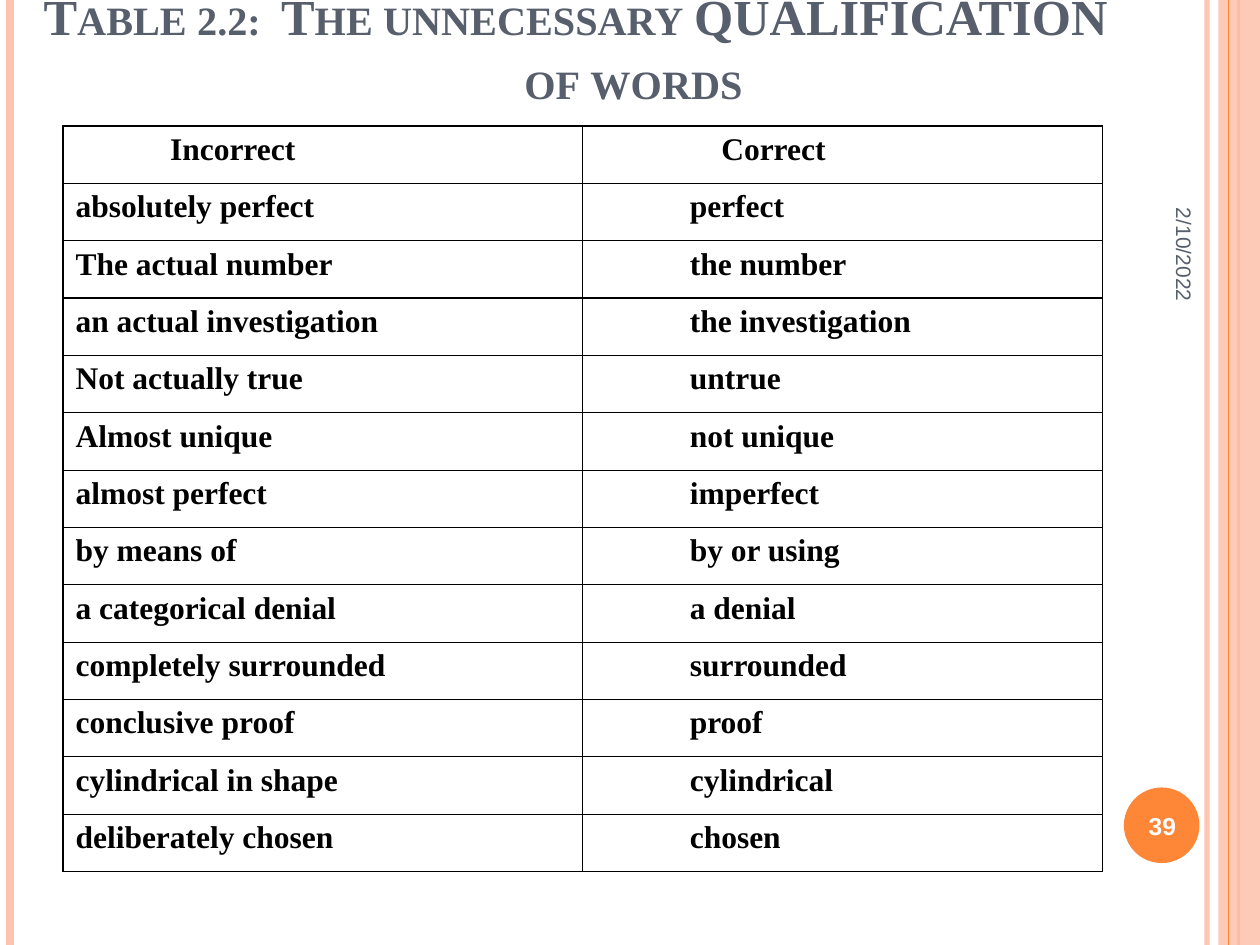
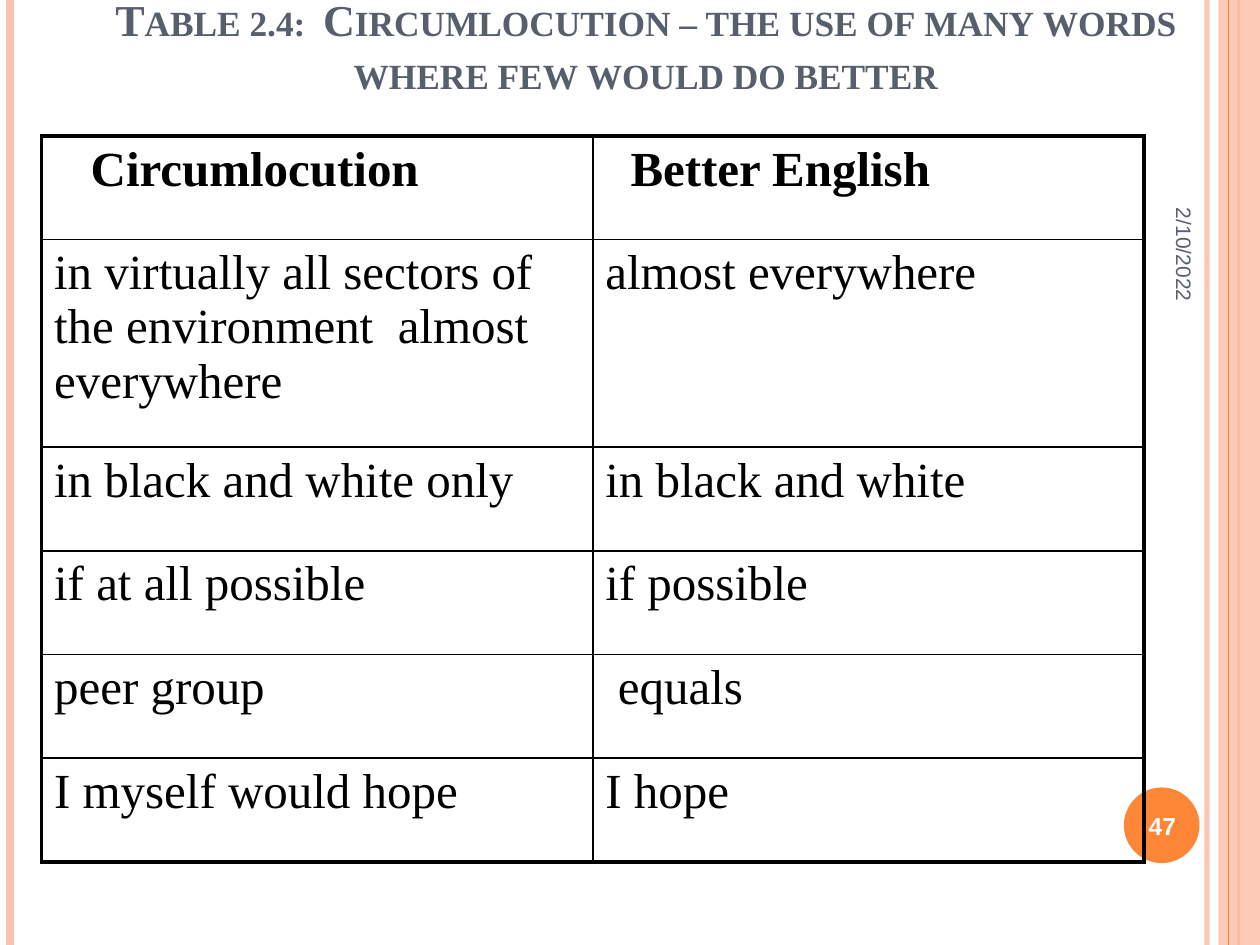
from lxml import etree
from pptx import Presentation
from pptx import util as u
from pptx.dml.color import RGBColor
from pptx.enum import shapes, text
from pptx.oxml.ns import qn

PEACH = RGBColor(0xFE, 0xC3, 0xAE)
ORANGE = RGBColor(0xFE, 0x86, 0x37)
SLATE = RGBColor(0x57, 0x5F, 0x6D)
BLACK = RGBColor(0, 0, 0)
WHITE = RGBColor(255, 255, 255)
SERIF, SANS = "Times New Roman", "Arial"
DATE = "2/10/2022"

PAGES = [
    {
        "number": "39",
        "title": ["Table 2.2:  The unnecessary QUALIFICATION", "of words"],
        "title_box": (0.17, 0.17, 9.33, 0.75),
        "title_size": 28.8,
        "title_right_margin": 0.63,
        "second_line": {"indent": 0.92, "space_before": 2},
        "table_box": (0.5, 1, 8.25, 5.92),
        "row_weights": [1] * 13,
        "text_size": 18,
        "bold_body": True,
        "header_indents": (0.75, 1),
        "body_indents": (0, 0.75),
        "special_indents": {},
        "lines": {"outer": 0.75, "top": 1, "header": 1, "inner": 0.75},
        "rows": [
            ("Incorrect", "Correct"),
            ("absolutely perfect", "perfect"),
            ("The actual number", "the number"),
            ("an actual investigation", "the investigation"),
            ("Not actually true", "untrue"),
            ("Almost unique", "not unique"),
            ("almost perfect", "imperfect"),
            ("by means of", "by or using"),
            ("a categorical denial", "a denial"),
            ("completely surrounded", "surrounded"),
            ("conclusive proof", "proof"),
            ("cylindrical in shape", "cylindrical"),
            ("deliberately chosen", "chosen"),
        ],
    },
    {
        "number": "47",
        "title": ["Table 2.4:  Circumlocution – the use of many words "
                  "where few would do better"],
        "title_box": (0.25, 0, 9.75, 0.83),
        "title_size": 25.2,
        "title_right_margin": 0.1,
        "second_line": {},
        "table_box": (0.33, 1.08, 8.75, 5.76),
        "row_weights": [1, 2, 1, 1, 1, 1],
        "text_size": 28,
        "bold_body": False,
        "header_indents": (0.29, 0.2),
        "body_indents": (0, 0),
        "special_indents": {"equals": 0.1},
        "lines": {"outer": 2.25, "top": 2.25, "header": 1, "inner": 1},
        "rows": [
            ("Circumlocution", "Better English"),
            ("in virtually all sectors of the environment  almost everywhere",
             "almost everywhere"),
            ("in black and white only", "in black and white"),
            ("if at all possible", "if possible"),
            ("peer group", "equals"),
            ("I myself would hope", "I hope"),
        ],
    },
]


def inches(values):
    return [u.Inches(value) for value in values]


def set_opacity(shape, percent):
    color = next(shape._element.spPr.iter(qn("a:srgbClr")))
    etree.SubElement(color, qn("a:alpha"), val=str(percent * 1000))


def style(paragraph, size, font, color, bold=False):
    paragraph.font.size = u.Pt(size)
    paragraph.font.name = font
    paragraph.font.color.rgb = color
    paragraph.font.bold = bold


def indent(paragraph, length):
    paragraph._p.get_or_add_pPr().set("marL", str(u.Inches(length)))


def add_rule(page, x, color, width):
    rule = page.shapes.add_connector(
        shapes.MSO_CONNECTOR.STRAIGHT, *inches((x, 0, x, 7.5)))
    rule.line.color.rgb = color
    rule.line.width = u.Pt(width)
    etree.SubElement(rule._element.spPr, qn("a:effectLst"))
    return rule


def add_block(page, kind, box, color):
    block = page.shapes.add_shape(kind, *inches(box))
    block.shadow.inherit = False
    block.fill.solid()
    block.fill.fore_color.rgb = color
    block.line.fill.background()
    return block


def add_frame(page):
    set_opacity(add_rule(page, 9.58, PEACH, 3), 93)
    add_rule(page, 0.08, PEACH, 4.5)
    add_rule(page, 9.83, ORANGE, 1.5)
    set_opacity(add_block(page, shapes.MSO_SHAPE.RECTANGLE,
                          (9.67, 0, 0.33, 7.5), PEACH), 87)
    add_rule(page, 9.75, ORANGE, 0.75)
    add_block(page, shapes.MSO_SHAPE.OVAL, (8.92, 6.25, 0.6, 0.6), ORANGE)


def add_text(page, box, lines, anchor, align, **look):
    shape = page.shapes.add_textbox(*inches(box))
    frame = shape.text_frame
    frame.word_wrap = True
    frame.vertical_anchor = anchor
    frame.text = "\n".join(lines)
    for paragraph in frame.paragraphs:
        paragraph.alignment = align
        style(paragraph, **look)
    return shape


def add_title(page, content):
    title = add_text(page, content["title_box"], content["title"],
                     text.MSO_ANCHOR.BOTTOM, text.PP_ALIGN.CENTER,
                     size=content["title_size"], font=SERIF, color=SLATE, bold=True)
    title.text_frame.margin_right = u.Inches(content["title_right_margin"])
    for paragraph in title.text_frame.paragraphs:
        paragraph._p.pPr.find(qn("a:defRPr")).set("cap", "small")
    for paragraph in title.text_frame.paragraphs[1:]:
        indent(paragraph, content["second_line"]["indent"])
        paragraph.space_before = u.Pt(content["second_line"]["space_before"])


def set_borders(cell, widths):
    properties = cell._tc.get_or_add_tcPr()
    for place, (side, width) in enumerate(zip("LRTB", widths)):
        line = etree.Element(qn("a:ln" + side), w=str(u.Pt(width)))
        fill = etree.SubElement(line, qn("a:solidFill"))
        etree.SubElement(fill, qn("a:srgbClr"), val=str(BLACK))
        properties.insert(place, line)


def add_word_table(page, content):
    rows, lines = content["rows"], content["lines"]
    left, top, width, height = content["table_box"]
    table = page.shapes.add_table(
        len(rows), 2, *inches((left, top, width, height))).table
    table.first_row = table.horz_banding = False
    for column in table.columns:
        column.width = u.Inches(width / 2)
    weights = content["row_weights"]
    for row, weight in zip(table.rows, weights):
        row.height = u.Inches(height * weight / sum(weights))

    levels = [lines["top"], lines["header"]]
    levels += [lines["inner"]] * (len(rows) - 2) + [lines["outer"]]
    uprights = [lines["outer"], lines["inner"], lines["outer"]]
    for r, words in enumerate(rows):
        indents = content["body_indents" if r else "header_indents"]
        for c, word in enumerate(words):
            cell = table.cell(r, c)
            cell.text = word
            cell.fill.background()
            paragraph = cell.text_frame.paragraphs[0]
            indent(paragraph, content["special_indents"].get(word, indents[c]))
            style(paragraph, content["text_size"], SERIF, BLACK,
                  r == 0 or content["bold_body"])
            set_borders(cell, uprights[c:c + 2] + levels[r:r + 2])


def add_footer(page, number):
    date = add_text(page, (8.3, 1.18, 2.2, 0.42), [DATE],
                    text.MSO_ANCHOR.MIDDLE, text.PP_ALIGN.RIGHT,
                    size=12, font=SANS, color=SLATE)
    date.rotation = 90
    add_text(page, (8.89, 6.27, 0.67, 0.57), [number],
             text.MSO_ANCHOR.MIDDLE, text.PP_ALIGN.CENTER,
             size=14, font=SANS, color=WHITE, bold=True)


def main():
    deck = Presentation()
    deck.slide_width, deck.slide_height = inches((10, 7.5))
    for content in PAGES:
        page = deck.slides.add_slide(deck.slide_layouts[6])
        add_frame(page)
        add_title(page, content)
        add_word_table(page, content)
        add_footer(page, content["number"])
    deck.save("out.pptx")


if __name__ == "__main__":
    main()
